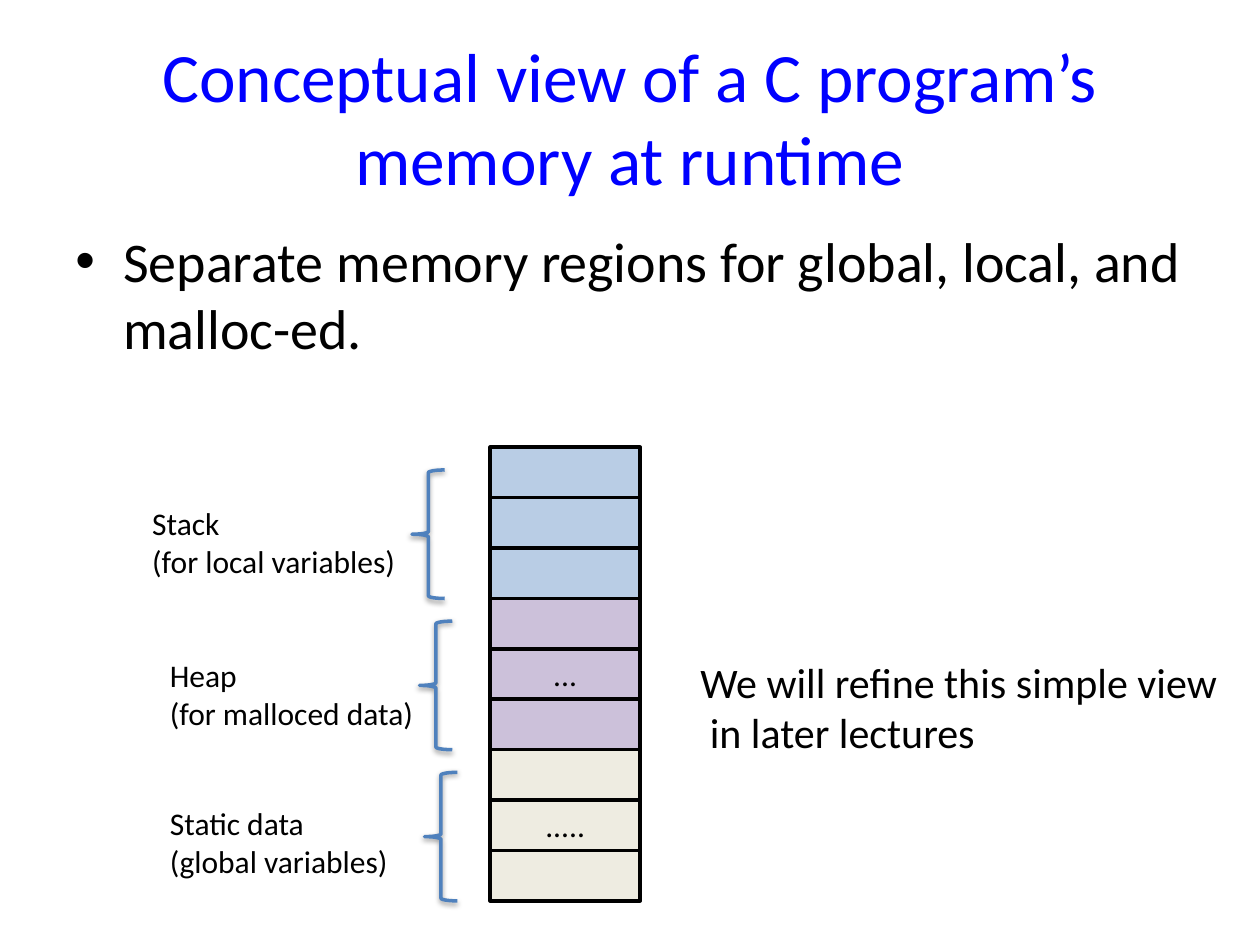
from dataclasses import dataclass

from lxml.etree import SubElement
from pptx import Presentation
from pptx.dml.color import RGBColor as Color
from pptx.enum.shapes import MSO_SHAPE as Preset
from pptx.enum.text import MSO_ANCHOR as Anchor, MSO_AUTO_SIZE as AutoSize, PP_ALIGN as Align
from pptx.oxml.ns import qn
from pptx.shapes.autoshape import Shape
from pptx.slide import Slide
from pptx.text.text import TextFrame
from pptx.util import Inches, Pt


@dataclass(frozen=True)
class Theme:
    """Colours, font and type sizes of the slide."""
    font: str = "Calibri"
    title: str = "0000FF"
    text: str = "000000"
    brace: str = "4F81BD"
    title_size: float = 39.6
    bullet_size: float = 32
    note_size: float = 24
    label_size: float = 18
    line_width: float = 2


@dataclass(frozen=True)
class Region:
    """A memory region: its cells, its brace and its label."""
    label: tuple[str, str]
    fill: str
    cells: tuple[str, ...]
    brace_left: float
    label_left: float
    label_top: float
    label_width: float


THEME = Theme()
CELL_LEFT, CELL_TOP, CELL_WIDTH, CELL_HEIGHT = 3.89, 3.55, 1.19, 0.4
BRACE_DROP, BRACE_WIDTH, BRACE_HEIGHT = 0.18, 0.26, 1.02
REGIONS = (
    Region(("Stack", "(for local variables)"), "B9CDE5", ("", "", ""), 3.27, 1.11, 3.95, 2.16),
    Region(("Heap", "(for malloced data)"), "CCC1DA", ("", "...", ""), 3.33, 1.25, 5.16, 2.16),
    Region(("Static data", "(global variables)"), "EEECE1", ("", ".....", ""),
           3.37, 1.25, 6.33, 1.95),
)


def write(frame: TextFrame, lines: tuple[str, ...], size: float,
          color: str = THEME.text, align: Align = Align.LEFT) -> None:
    """Fill a frame with one paragraph per line in a single style."""
    for index, line in enumerate(lines):
        para = frame.add_paragraph() if index else frame.paragraphs[0]
        para.text = line
        para.alignment = align
        para.font.name = THEME.font
        para.font.size = Pt(size)
        para.font.color.rgb = Color.from_string(color)


def add_text(page: Slide, box: tuple[float, ...], lines: tuple[str, ...],
             size: float, wrap: bool = False) -> TextFrame:
    """Add a text box; unwrapped ones grow with their text."""
    frame = page.shapes.add_textbox(*map(Inches, box)).text_frame
    frame.word_wrap = wrap
    frame.auto_size = AutoSize.NONE if wrap else AutoSize.SHAPE_TO_FIT_TEXT
    write(frame, lines, size)
    return frame


def add_title(page: Slide, text: str) -> None:
    """Place and format the title placeholder."""
    title = page.shapes.title
    title.left, title.top, title.width, title.height = map(Inches, (0.5, 0.3, 9, 1.25))
    title.text_frame.vertical_anchor = Anchor.MIDDLE
    write(title.text_frame, (text,), THEME.title_size, THEME.title, Align.CENTER)


def add_bullet(page: Slide, text: str) -> None:
    """Add the bulleted statement with a hanging indent."""
    frame = add_text(page, (0.5, 1.75, 9, 1.5), (text,), THEME.bullet_size, wrap=True)
    para = frame.paragraphs[0]
    para.space_before = Pt(0.2 * THEME.bullet_size)
    props = para._p.get_or_add_pPr()
    props.set("marL", str(Inches(0.38)))
    props.set("indent", str(Inches(-0.38)))
    SubElement(props, qn("a:buFont"), typeface="Arial")
    SubElement(props, qn("a:buChar"), char="•")


def add_outlined(page: Slide, preset: Preset, box: tuple[float, ...], color: str) -> Shape:
    """Add a preset shape with a plain outline and no shadow."""
    shape = page.shapes.add_shape(preset, *map(Inches, box))
    shape.shadow.inherit = False
    shape.line.color.rgb = Color.from_string(color)
    shape.line.width = Pt(THEME.line_width)
    return shape


def add_cell(page: Slide, row: int, fill: str, text: str) -> None:
    """Add one memory cell in the given row of the column."""
    box = (CELL_LEFT, CELL_TOP + row * CELL_HEIGHT, CELL_WIDTH, CELL_HEIGHT)
    cell = add_outlined(page, Preset.RECTANGLE, box, THEME.text)
    cell.fill.solid()
    cell.fill.fore_color.rgb = Color.from_string(fill)
    if text:
        cell.text_frame.vertical_anchor = Anchor.MIDDLE
        write(cell.text_frame, (text,), THEME.label_size, align=Align.CENTER)


def add_brace(page: Slide, left: float, first_row: int) -> None:
    """Add a brace with a soft shadow beside a region."""
    top = CELL_TOP + first_row * CELL_HEIGHT + BRACE_DROP
    box = (left, top, BRACE_WIDTH, BRACE_HEIGHT)
    brace = add_outlined(page, Preset.LEFT_BRACE, box, THEME.brace)
    brace.fill.background()
    effects = brace._element.spPr.find(qn("a:effectLst"))
    shadow = SubElement(effects, qn("a:outerShdw"), blurRad=str(Pt(3.1)),
                        dist=str(Pt(1.6)), dir="5400000", rotWithShape="0")
    tint = SubElement(shadow, qn("a:srgbClr"), val=THEME.text)
    SubElement(tint, qn("a:alpha"), val="38000")


def add_region(page: Slide, region: Region, first_row: int) -> None:
    """Add the cells, brace and label of one region."""
    for offset, text in enumerate(region.cells):
        add_cell(page, first_row + offset, region.fill, text)
    add_brace(page, region.brace_left, first_row)
    box = (region.label_left, region.label_top, region.label_width, 0.71)
    add_text(page, box, region.label, THEME.label_size)


def main() -> None:
    """Build and save the slide."""
    deck = Presentation()
    deck.slide_width, deck.slide_height = Inches(10), Inches(7.5)
    page = deck.slides.add_slide(deck.slide_layouts.get_by_name("Title Only"))
    add_title(page, "Conceptual view of a C program’s memory at runtime")
    add_bullet(page, "Separate memory regions for global, local, and malloc-ed.")
    first_row = 0
    for region in REGIONS:
        add_region(page, region, first_row)
        first_row += len(region.cells)
    add_text(page, (5.46, 5.16, 4.37, 0.91),
             ("We will refine this simple view", " in later lectures"), THEME.note_size)
    deck.save("out.pptx")


main()
